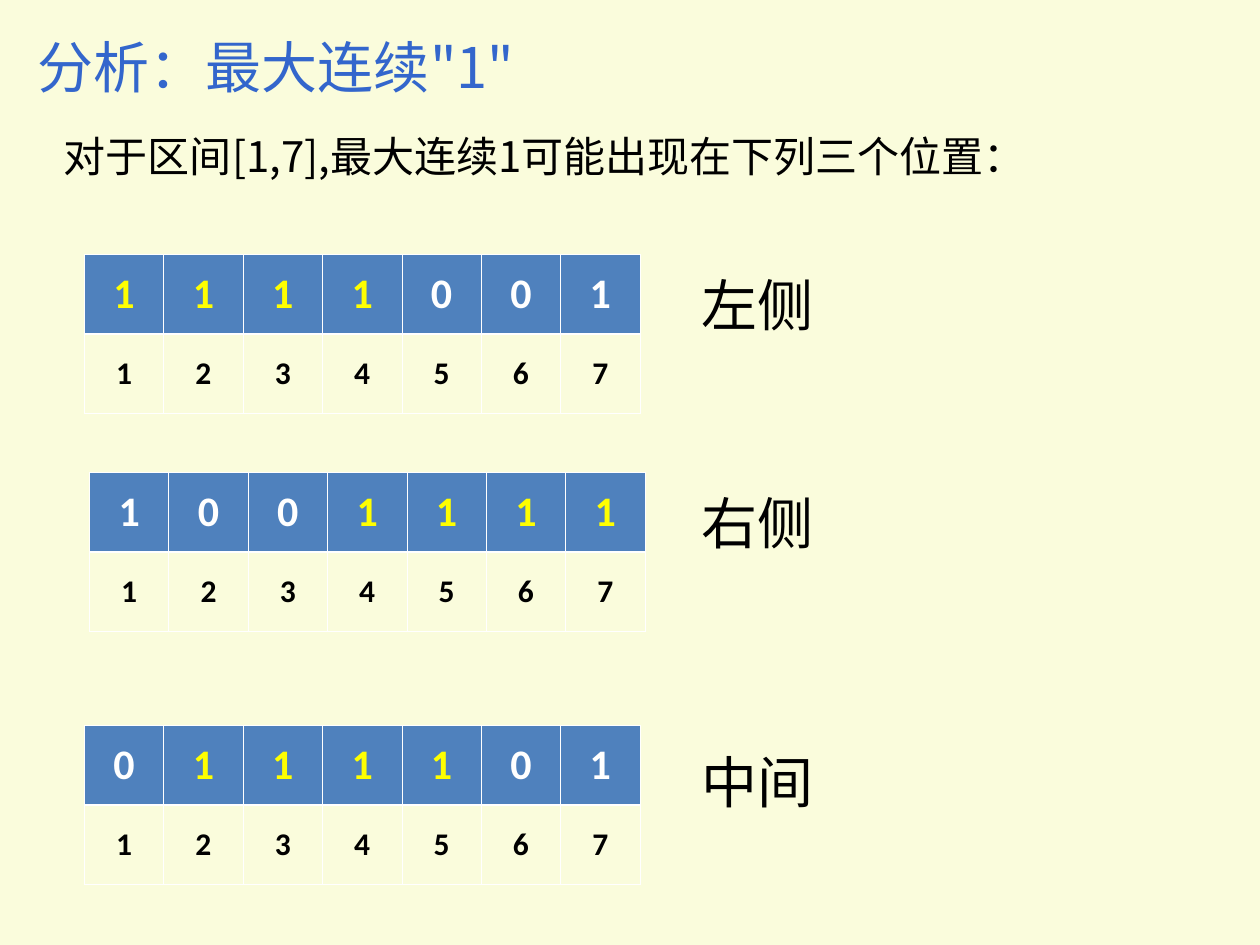
from dataclasses import dataclass

from lxml.etree import SubElement
from pptx import Presentation
from pptx.dml.color import RGBColor
from pptx.enum.text import MSO_ANCHOR as Anchor
from pptx.enum.text import MSO_AUTO_SIZE as AutoSize
from pptx.enum.text import PP_ALIGN as Align
from pptx.oxml import parse_xml
from pptx.oxml.ns import nsdecls, qn
from pptx.util import Inches, Pt


@dataclass(frozen=True)
class Theme:
    paper: str = "FAFCDC"
    title: str = "3366CC"
    ink: str = "000000"
    header: str = "4F81BD"
    digit: str = "FFFFFF"
    highlight: str = "FFFF00"
    border: str = "FFFFFF"
    cjk_font: str = "Noto Sans CJK SC"
    label_font: str = "Cambria"
    table_font: str = "Calibri"
    large: float = 32
    medium: float = 24
    small: float = 18
    thin: float = 0.45
    thick: float = 1.47


@dataclass(frozen=True)
class Area:
    """A rectangle in percent of the slide's width and height."""
    left: float
    top: float
    width: float
    height: float

    def frame(self) -> dict:
        return {
            "left": int(WIDTH * self.left / 100),
            "top": int(HEIGHT * self.top / 100),
            "width": int(WIDTH * self.width / 100),
            "height": int(HEIGHT * self.height / 100),
        }


@dataclass(frozen=True)
class Case:
    """A bit row with its longest run of ones, given as first and last index."""
    label: str
    bits: str
    first: int
    last: int
    left: float
    top: float
    label_top: float


THEME = Theme()
WIDTH, HEIGHT = Inches(10), Inches(7.5)
CELL_WIDTH, CELL_HEIGHT = 6.3, 8.4
LABEL_LEFT, LABEL_WIDTH, LINE_HEIGHT = 54.7, 44.1, 8.53

TITLE_AREA = Area(2, 2.8, 46.5, LINE_HEIGHT)
INTRO_AREA = Area(4.1, 13.2, 87.6, 6.67)
CASES = [
    Case("左侧", "1111001", 1, 4, 6.7, 26.93, 28),
    Case("右侧", "1001111", 4, 7, 7.1, 50, 51.07),
    Case("中间", "0111101", 2, 5, 6.7, 76.8, 78.4),
]


def set_all(target, values: dict) -> None:
    for name, value in values.items():
        setattr(target, name, value)


def write(frame, text: str, size: float, font: str, color: str,
          bold: bool = False, **paragraph_format) -> None:
    para = frame.paragraphs[0]
    set_all(para, paragraph_format)
    span = para.add_run()
    span.text = text
    set_all(span.font, {"size": Pt(size), "name": font, "bold": bold})
    span.font.color.rgb = RGBColor.from_string(color)
    # Chinese characters take their typeface from a separate element
    latin = span.font._element.find(qn("a:latin"))
    east_asian = SubElement(span.font._element, qn("a:ea"), typeface=THEME.cjk_font)
    latin.addnext(east_asian)


def fill_box(box, area: Area, text: str, size: float, font: str, color: str) -> None:
    set_all(box, area.frame())
    set_all(box.text_frame, {
        "word_wrap": True,
        "auto_size": AutoSize.SHAPE_TO_FIT_TEXT,
        "vertical_anchor": Anchor.TOP,
    })
    write(box.text_frame, text, size, font, color, alignment=Align.LEFT)


def add_label(page, area: Area, text: str, size: float, font: str) -> None:
    box = page.shapes.add_textbox(**area.frame())
    fill_box(box, area, text, size, font, THEME.ink)


def set_borders(cell, top: float, bottom: float) -> None:
    widths = {"lnL": THEME.thin, "lnR": THEME.thin, "lnT": top, "lnB": bottom}
    properties = cell._tc.get_or_add_tcPr()
    for tag, width in widths.items():
        properties.append(parse_xml(
            f'<a:{tag} {nsdecls("a")} w="{Pt(width)}"><a:solidFill>'
            f'<a:srgbClr val="{THEME.border}"/></a:solidFill></a:{tag}>'))


def add_bit_table(page, case: Case) -> None:
    count = len(case.bits)
    area = Area(case.left, case.top, count * CELL_WIDTH, 2 * CELL_HEIGHT)
    table = page.shapes.add_table(2, count, **area.frame()).table
    table.horz_banding = False
    for index, bit in enumerate(case.bits, start=1):
        bit_cell, index_cell = (table.cell(row, index - 1) for row in range(2))
        for cell in (bit_cell, index_cell):
            cell.vertical_anchor = Anchor.MIDDLE

        # Bit on a coloured ground
        set_borders(bit_cell, THEME.thin, THEME.thick)
        bit_cell.fill.solid()
        bit_cell.fill.fore_color.rgb = RGBColor.from_string(THEME.header)
        in_run = case.first <= index <= case.last
        write(bit_cell.text_frame, bit, THEME.medium, THEME.table_font,
              THEME.highlight if in_run else THEME.digit, bold=True,
              alignment=Align.CENTER, space_before=Pt(6), space_after=Pt(6))

        # Position below it
        set_borders(index_cell, THEME.thick, THEME.thin)
        index_cell.fill.background()
        write(index_cell.text_frame, str(index), THEME.small, THEME.table_font,
              THEME.ink, bold=True,
              alignment=Align.CENTER, space_before=Pt(4.5), space_after=Pt(6))


def main() -> None:
    deck = Presentation()
    set_all(deck, {"slide_width": WIDTH, "slide_height": HEIGHT})
    page = deck.slides.add_slide(deck.slide_layouts.get_by_name("Title Only"))
    page.background.fill.solid()
    page.background.fill.fore_color.rgb = RGBColor.from_string(THEME.paper)

    # Title and introduction
    fill_box(page.shapes.title, TITLE_AREA, '分析：最大连续"1"',
             THEME.large, THEME.cjk_font, THEME.title)
    add_label(page, INTRO_AREA, "对于区间[1,7],最大连续1可能出现在下列三个位置：",
              THEME.medium, THEME.cjk_font)

    # One table and label for each position of the run
    for case in CASES:
        add_bit_table(page, case)
        add_label(page, Area(LABEL_LEFT, case.label_top, LABEL_WIDTH, LINE_HEIGHT),
                  case.label, THEME.large, THEME.label_font)

    deck.save("out.pptx")


if __name__ == "__main__":
    main()
